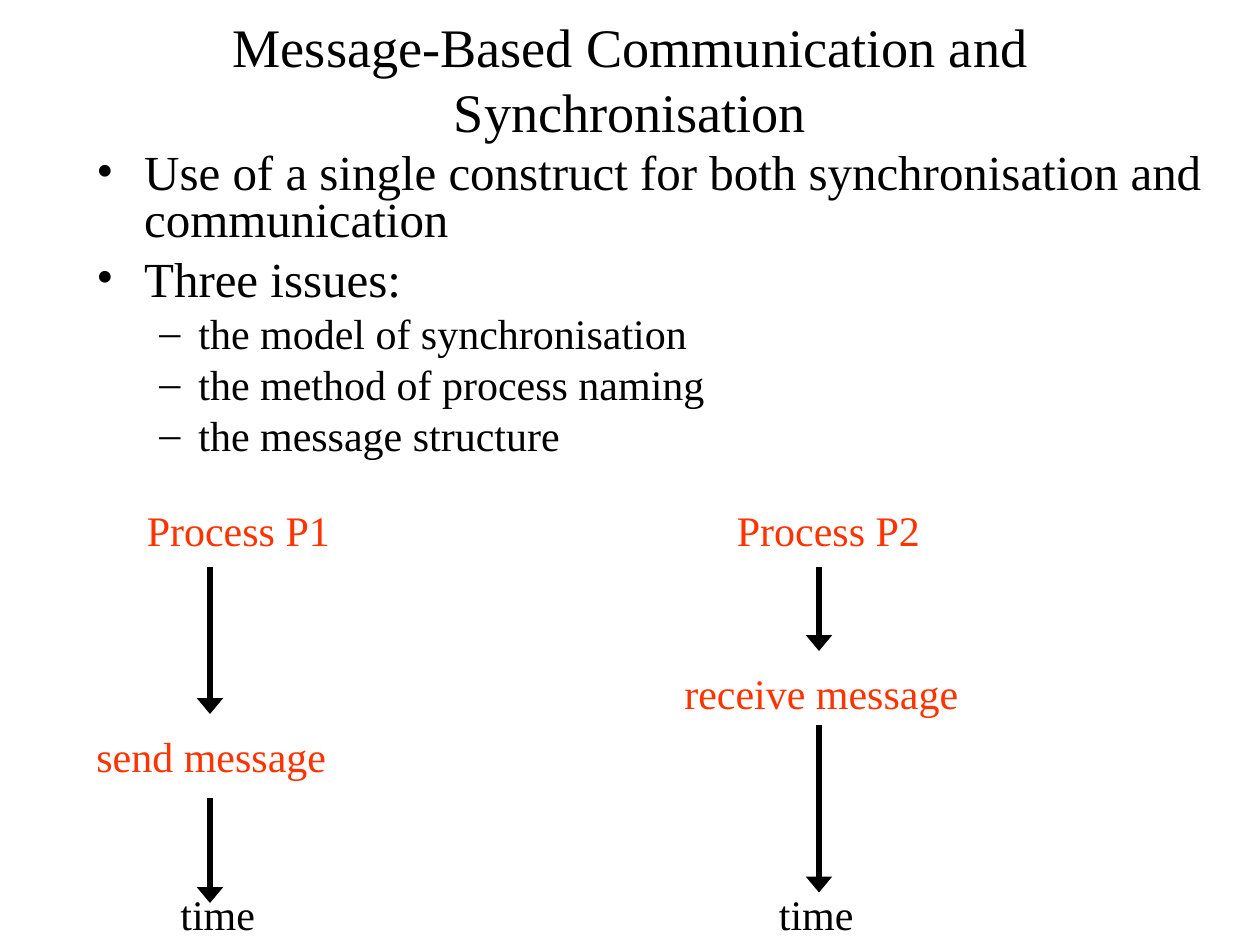
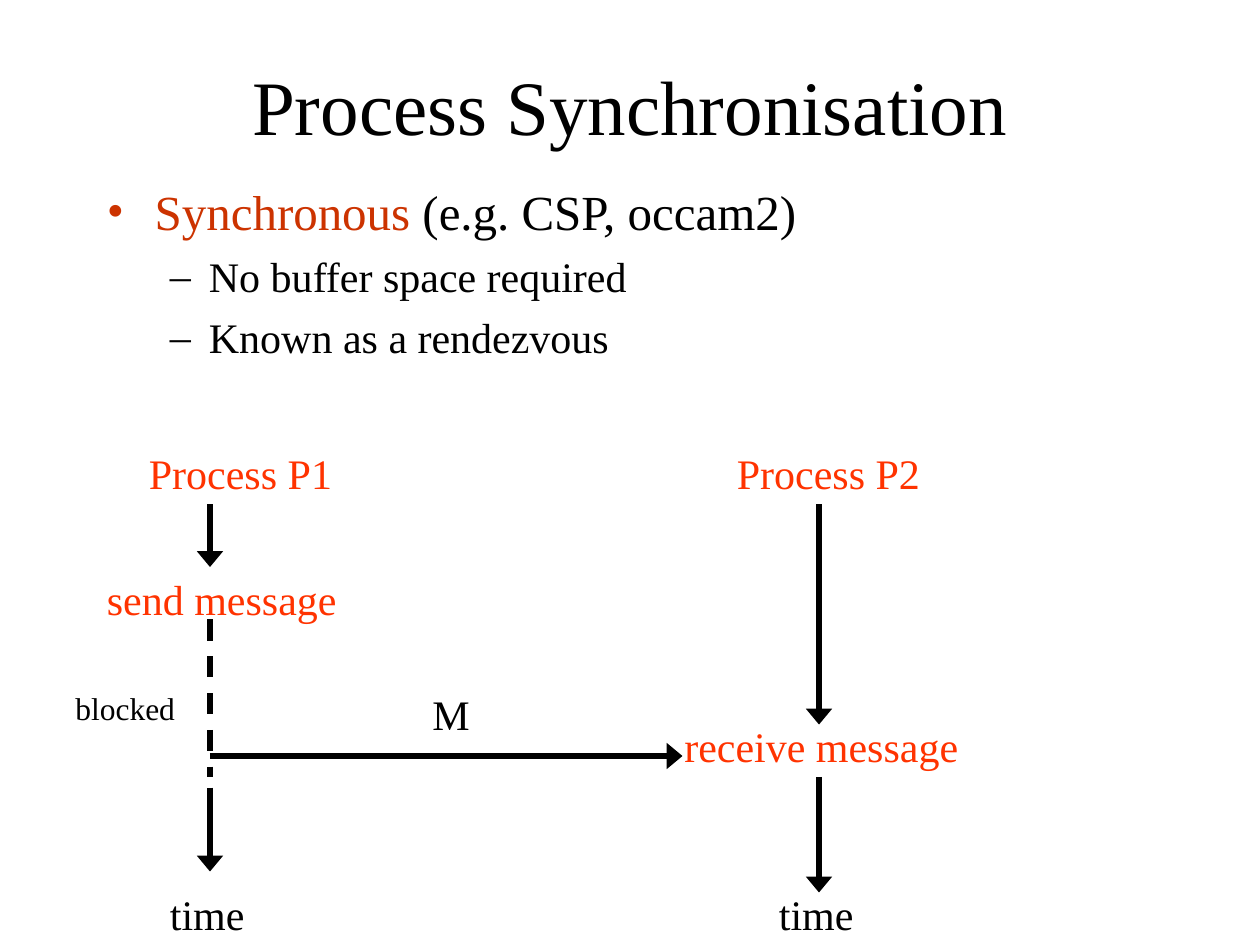
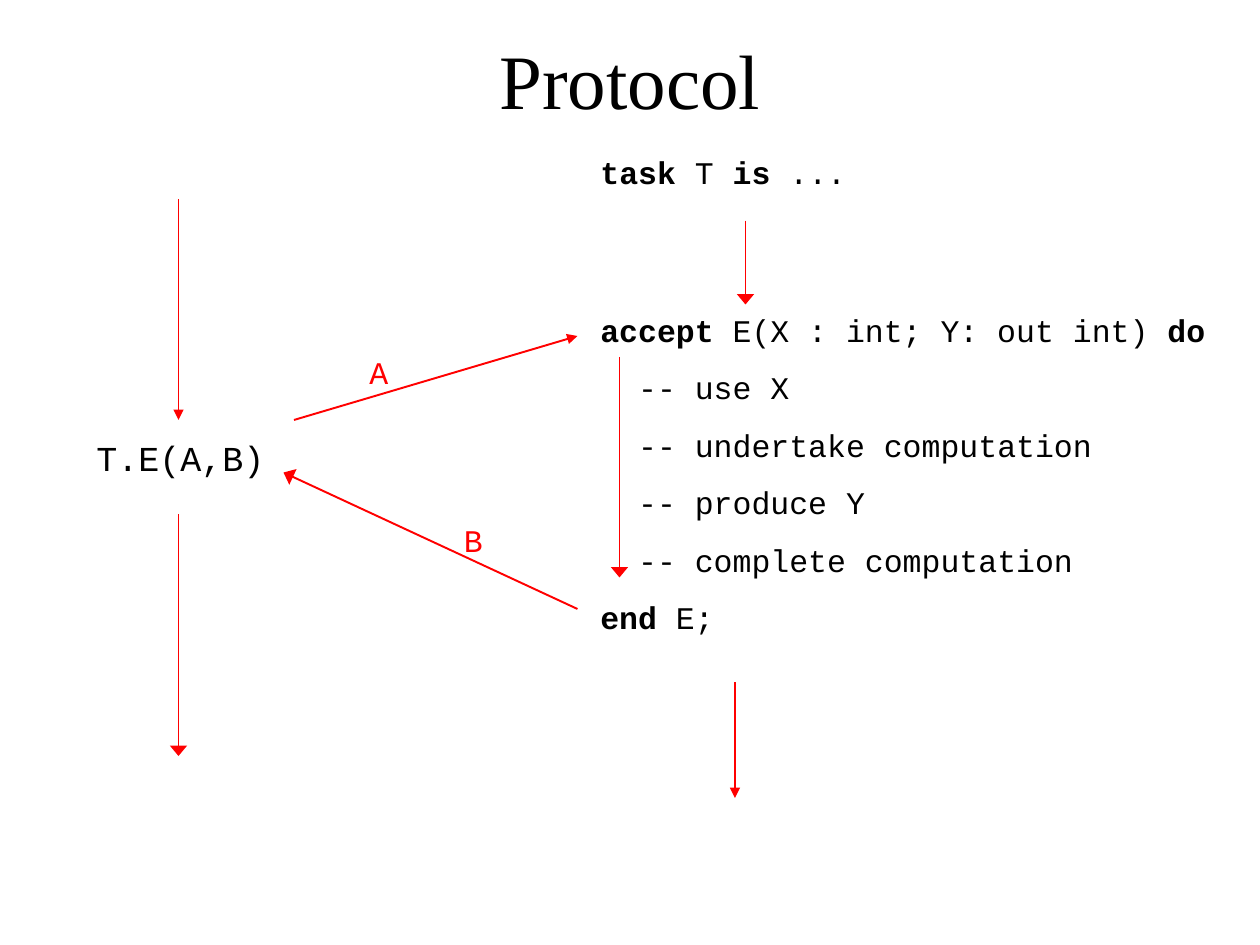
from lxml.etree import SubElement
from pptx import Presentation
from pptx.dml.color import RGBColor
from pptx.enum.dml import MSO_LINE
from pptx.enum.shapes import MSO_CONNECTOR
from pptx.enum.text import MSO_ANCHOR, MSO_AUTO_SIZE, PP_ALIGN
from pptx.oxml.ns import qn
from pptx.util import Inches, Pt

# Shared look
SERIF, MONO = "Times New Roman", "Courier New"
BLACK, ORANGE, RUST, RED = "000000", "FF3300", "CC3300", "FF0000"

# Grid of 120 columns by 90 rows
CELL = Inches(10) // 120

# Bullet levels: sign, text size, space before, left margin, hanging indent
LEVELS = [("•", 28, 7, 0.38, 0.38), ("–", 24, 6, 0.81, 0.31)]

# Widths of the timeline labels, in columns
LABEL_WIDTHS = {"Process P1": 19.8, "Process P2": 19.8, "send message": 24.2,
                "receive message": 28.4, "time": 9.5, "blocked": 11.9, "M": 5.9}
P1_COLUMN, P2_COLUMN = 20, 78


def grid(cells):
    return round(cells * CELL)


def colour(code):
    return RGBColor.from_string(code)


def add_span(para, text, size, font=SERIF, code=BLACK, bold=None):
    span = para.add_run()
    span.text = text
    span.font.name = font
    span.font.size = Pt(size)
    span.font.color.rgb = colour(code)
    span.font.bold = bold


def add_page(deck, title, size, row=0):
    page = deck.slides.add_slide(deck.slide_layouts[5])
    box = page.shapes.title
    box.left, box.top, box.width, box.height = map(grid, (9, row, 102, 15))
    frame = box.text_frame
    frame.auto_size = MSO_AUTO_SIZE.NONE
    frame.vertical_anchor = MSO_ANCHOR.MIDDLE
    para = frame.paragraphs[0]
    para.alignment = PP_ALIGN.CENTER
    add_span(para, title, size)
    return page


def add_frame(page, column, row, width, height):
    """The right inset is zero, so that text as wide as its box stays on one line."""
    box = page.shapes.add_textbox(*map(grid, (column, row, width, height)))
    frame = box.text_frame
    frame.word_wrap = True
    frame.auto_size = MSO_AUTO_SIZE.NONE
    frame.margin_right = 0
    return frame


def next_para(frame, index):
    return frame.add_paragraph() if index else frame.paragraphs[0]


def set_bullet(para, sign, code, margin, hanging):
    props = para._p.get_or_add_pPr()
    props.set("marL", str(Inches(margin)))
    props.set("indent", str(-Inches(hanging)))
    SubElement(SubElement(props, qn("a:buClr")), qn("a:srgbClr")).set("val", code)
    SubElement(props, qn("a:buFont")).set("typeface", SERIF)
    SubElement(props, qn("a:buChar")).set("char", sign)


def add_bullets(page, area, items, line_spacing=None):
    """Each item is a level and a list of (text, colour) spans."""
    frame = add_frame(page, *area)
    for index, (level, spans) in enumerate(items):
        sign, size, before, margin, hanging = LEVELS[level]
        para = next_para(frame, index)
        para.level = level
        para.space_before = Pt(before)
        if line_spacing:
            para.line_spacing = line_spacing
        set_bullet(para, sign, spans[0][1], margin, hanging)
        for text, code in spans:
            add_span(para, text, size, code=code)


def add_label(page, text, column, row, code=BLACK, size=24):
    frame = add_frame(page, column, row, LABEL_WIDTHS[text], size / 4)
    add_span(frame.paragraphs[0], text, size, code=code)


def add_code(page, area, lines, size=18, code=BLACK):
    """Each line is an indent in characters and a list of (text, bold) spans."""
    frame = add_frame(page, *area)
    for index, (indent, spans) in enumerate(lines):
        para = next_para(frame, index)
        para.space_before = Pt(size * 0.625)
        if indent:
            para._p.get_or_add_pPr().set("marL", str(Pt(indent * size * 0.6)))
        for text, bold in spans:
            add_span(para, text, size, MONO, code, bold)


def add_line(page, start, end, code=BLACK, weight=3, head="lg", dashed=False):
    line = page.shapes.add_connector(MSO_CONNECTOR.STRAIGHT, *map(grid, start + end))
    line.line.color.rgb = colour(code)
    line.line.width = Pt(weight)
    if dashed:
        line.line.dash_style = MSO_LINE.DASH
    if head:
        tail = SubElement(line.line._get_or_add_ln(), qn("a:tailEnd"))
        for key, value in (("type", "triangle"), ("w", head), ("len", "med")):
            tail.set(key, value)
    SubElement(line._element.spPr, qn("a:effectLst"))


def add_timeline(page, column, labels, arrows):
    """Labels are (text, column, row); the last one closes the time axis."""
    for text, left, row in labels:
        add_label(page, text, left, row, BLACK if text == "time" else ORANGE)
    for top, bottom in arrows:
        add_line(page, (column, top), (column, bottom))


def build_communication(deck):
    page = add_page(deck, "Message-Based Communication and Synchronisation", 31)
    add_bullets(page, (8, 14, 107, 31), [
        (0, [("Use of a single construct for both synchronisation and communication", BLACK)]),
        (0, [("Three issues:", BLACK)]),
        (1, [("the model of synchronisation", BLACK)]),
        (1, [("the method of process naming", BLACK)]),
        (1, [("the message structure", BLACK)]),
    ], line_spacing=0.8)
    add_timeline(page, P1_COLUMN,
                 [("Process P1", 12.8, 47.5), ("send message", 8, 69), ("time", 16, 84)],
                 [(54, 68), (76, 86)])
    add_timeline(page, P2_COLUMN,
                 [("Process P2", 69, 47.5), ("receive message", 64, 63), ("time", 73, 84)],
                 [(54, 62), (69, 85)])


def build_synchronisation(deck):
    page = add_page(deck, "Process Synchronisation", 44, row=2.5)
    add_bullets(page, (9, 16.7, 102, 19), [
        (0, [("Synchronous", RUST), (" (e.g. CSP, occam2)", BLACK)]),
        (1, [("No buffer space required", BLACK)]),
        (1, [("Known as a rendezvous", BLACK)]),
    ])
    add_timeline(page, P1_COLUMN,
                 [("Process P1", 13, 42), ("send message", 9, 54), ("time", 15, 84)],
                 [(48, 54), (75, 83)])
    add_timeline(page, P2_COLUMN,
                 [("Process P2", 69, 42), ("receive message", 64, 68), ("time", 73, 84)],
                 [(48, 69), (74, 85)])
    # Blocked sender and the message itself
    add_line(page, (P1_COLUMN, 59), (P1_COLUMN, 74), head=None, dashed=True)
    add_label(page, "blocked", 6, 65, size=18)
    add_line(page, (P1_COLUMN, 72), (65, 72))
    add_label(page, "M", 40, 65)


def build_protocol(deck):
    page = add_page(deck, "Protocol", 44)
    # Caller, task and accept body
    add_code(page, (8, 41, 31, 5.3), [(0, [("T.E(A,B)", None)])], size=20)
    add_code(page, (56, 29, 60, 32.2), [
        (0, [("accept", True), (" E(X : int; Y: out int) ", False), ("do", True)]),
        (2, [("-- use X", False)]),
        (2, [("-- undertake computation", False)]),
        (2, [("-- produce Y", False)]),
        (2, [("-- complete computation", False)]),
        (0, [("end ", True), ("E;", False)]),
    ])
    add_code(page, (56, 14, 38, 4.8),
             [(0, [("task", True), (" T ", False), ("is", True), (" ...", False)])])
    # Parameters passed in and out
    for name, column, row in (("A", 34, 33), ("B", 43, 49)):
        add_code(page, (column, row, 5, 4.8), [(0, [(name, None)])], code=RED)
    # Flow of control
    for start, end, head in (
        ((28, 40), (55, 32), "med"),
        ((17, 19), (17, 40), "med"),
        ((71, 21), (71, 29), "lg"),
        ((55, 58), (27, 45), "lg"),
        ((17, 49), (17, 72), "lg"),
        ((70, 65), (70, 76), "med"),
        ((59, 34), (59, 55), "lg"),
    ):
        add_line(page, start, end, RED, 1.1, head)


def main():
    deck = Presentation()
    deck.slide_width, deck.slide_height = Inches(10), Inches(7.5)
    build_communication(deck)
    build_synchronisation(deck)
    build_protocol(deck)
    deck.save("out.pptx")


if __name__ == "__main__":
    main()
